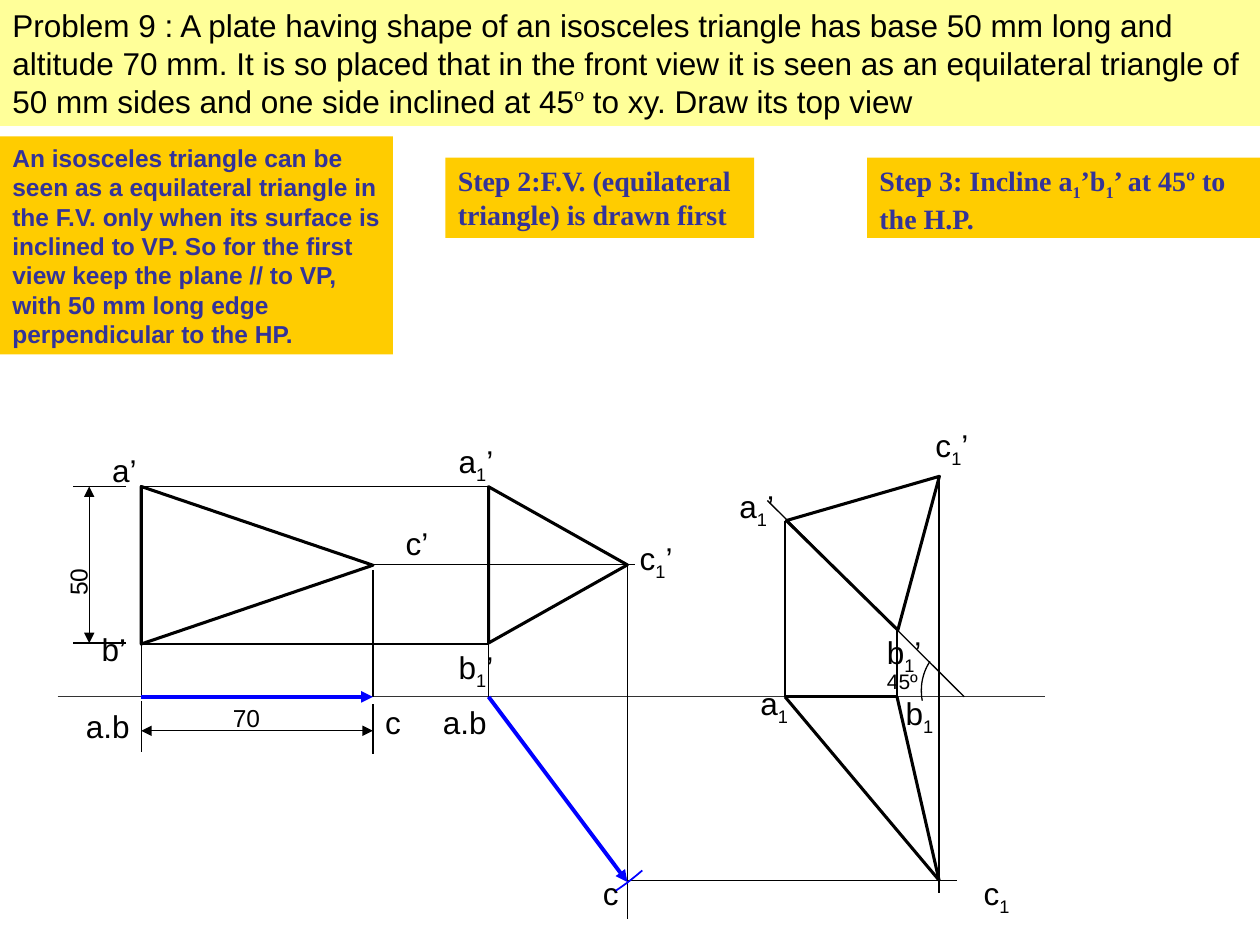
from dataclasses import dataclass
from math import cos, radians, sin

from lxml.etree import SubElement
from pptx import Presentation
from pptx.dml.color import RGBColor
from pptx.enum.shapes import MSO_CONNECTOR as Link, MSO_SHAPE as Preset
from pptx.enum.text import MSO_ANCHOR as Anchor, PP_ALIGN as Align
from pptx.oxml.ns import qn
from pptx.slide import Slide
from pptx.util import Pt

BLACK = RGBColor(0x00, 0x00, 0x00)
GREY = RGBColor(0x33, 0x33, 0x33)
BLUE = RGBColor(0x00, 0x00, 0xFF)
NAVY = RGBColor(0x33, 0x33, 0x99)
YELLOW = RGBColor(0xFF, 0xFF, 0x99)
GOLD = RGBColor(0xFF, 0xCC, 0x00)


@dataclass
class Drawing:
    """Draws lines, views, labels and notes; an underscore in text lowers the next character."""

    slide: Slide
    sans: str = "Arial"
    serif: str = "Times New Roman"
    thin: float = 0.75
    thick: float = 1.75

    def line(self, x1, y1, x2, y2, width=None, color=BLACK, arrows=()):
        link = self.slide.shapes.add_connector(
            Link.STRAIGHT, Pt(x1), Pt(y1), Pt(x2), Pt(y2))
        link.line.color.rgb = color
        link.line.width = Pt(width or self.thin)
        properties = link._element.spPr
        for end in arrows:
            SubElement(properties.find(qn("a:ln")), qn(f"a:{end}"), type="triangle")
        SubElement(properties, qn("a:effectLst"))

    def outline(self, shape, width, color=BLACK):
        shape.shadow.inherit = False
        shape.fill.background()
        shape.line.color.rgb = color
        shape.line.width = Pt(width)

    def triangle(self, center_x, center_y, base, height, rotation):
        view = self.slide.shapes.add_shape(
            Preset.ISOSCELES_TRIANGLE, Pt(center_x - base / 2),
            Pt(center_y - height / 2), Pt(base), Pt(height))
        view.rotation = rotation
        self.outline(view, self.thick)

    def arc(self, center_x, center_y, radius, start, end, width, color=BLACK, steps=12):
        angles = [radians(start + (end - start) * i / steps) for i in range(steps + 1)]
        first, *rest = [(Pt(center_x + radius * cos(a)), Pt(center_y + radius * sin(a)))
                        for a in angles]
        builder = self.slide.shapes.build_freeform(*first)
        builder.add_line_segments(rest, close=False)
        self.outline(builder.convert_to_shape(), width, color)

    def letter(self, frame, text, size, color=BLACK, font=None, bold=False):
        paragraph = frame.paragraphs[0]
        paragraph.alignment = Align.LEFT
        paragraph.font.size = Pt(size)
        paragraph.font.bold = bold
        paragraph.font.color.rgb = color
        paragraph.font.name = font or self.sans
        head, *lowered = text.split("_")
        paragraph.add_run().text = head
        for part in lowered:
            subscript = paragraph.add_run()
            subscript.text = part[0]
            subscript._r.get_or_add_rPr().set("baseline", "-25000")
            if part[1:]:
                paragraph.add_run().text = part[1:]
        return paragraph

    def label(self, x, y, text, size=18, width=42, height=29, rotation=0, wrap=True):
        box = self.slide.shapes.add_textbox(Pt(x), Pt(y), Pt(width), Pt(height))
        box.rotation = rotation
        box.text_frame.word_wrap = wrap
        self.letter(box.text_frame, text, size)

    def note(self, x, y, width, height, fill, text, size, **style):
        box = self.slide.shapes.add_shape(
            Preset.RECTANGLE, Pt(x), Pt(y), Pt(width), Pt(height))
        box.shadow.inherit = False
        box.fill.solid()
        box.fill.fore_color.rgb = fill
        box.line.fill.background()
        box.text_frame.word_wrap = True
        box.text_frame.vertical_anchor = Anchor.TOP
        return self.letter(box.text_frame, text, size, **style)


def main():
    deck = Presentation()
    deck.slide_width, deck.slide_height = Pt(720), Pt(540)
    draw = Drawing(deck.slides.add_slide(deck.slide_layouts[6]))

    edge, apex = 80.7, 213.1
    edge_2, apex_2 = 279.2, 358.5
    a_3, b_3, c_3 = 448.6, 512.6, 536.6
    top, middle, bottom, xy, c_top = 278, 322.6, 368, 398.2, 503

    draw.line(33, xy, 597, xy, color=GREY)
    draw.triangle((edge + apex) / 2, 323, 90, apex - edge, 90)
    draw.triangle((edge_2 + apex_2) / 2, 322.8, 89.3, apex_2 - edge_2, 90)
    draw.triangle(509, 300.5, 89.3, 79.3, 44.5)

    for x1, y1, x2, y2 in [
        (edge, bottom, edge, xy), (apex, 326, apex, xy),
        (edge, top, edge_2, top), (edge, bottom, edge_2, bottom),
        (apex, middle, 363, middle), (edge_2, bottom, edge_2, xy),
        (apex_2, middle, apex_2, 525), (72, top, 42, top), (72, 367.5, 42, 367.5),
        (edge, 400.5, edge, 430), (apex, 402.5, apex, 431),
        (551, xy, 438.5, 286), (a_3, 297.5, a_3, xy), (b_3, 360, b_3, xy),
        (c_3, 272, c_3, 510.5), (357, c_top, 547, c_top),
    ]:
        draw.line(x1, y1, x2, y2)

    both_ends = ("headEnd", "tailEnd")
    draw.line(51, top, 51, 367.5, arrows=both_ends)
    draw.line(edge, 417.6, apex, 417.6, arrows=both_ends)
    draw.arc(557.1, 394.6, 30.6, 169, 213, draw.thin)

    top_view = [(a_3, xy), (c_3, c_top), (b_3, xy)]
    for start, end in zip(top_view, top_view[1:] + top_view[:1]):
        draw.line(*start, *end, width=draw.thick)

    for x, y, text in [
        (57, 254, "a’"), (51, 356.5, "b’"), (224.7, 296, "c’"),
        (42, 400.5, "a.b"), (213, 398, "c"), (246, 398, "a.b"), (337.5, 496, "c"),
        (255, 249, "a_1’"), (255, 367, "b_1’"), (358.5, 304.5, "c_1’"),
        (415.5, 275, "a_1’"), (499.7, 358, "b_1’"), (527.5, 240, "c_1’"),
        (427.5, 387.5, "a_1"), (510.5, 393, "b_1"), (555, 496, "c_1"),
    ]:
        draw.label(x, y, text)
    draw.label(23, 314, "50", 14, width=43, height=24, rotation=270)
    draw.label(126, 398, "70", 14, height=24)
    draw.label(499.7, 378.7, "45º", 12, width=32.5, height=21.5, wrap=False)

    problem = draw.note(
        0, 0, 720, 72, YELLOW,
        "Problem 9 : A plate having shape of an isosceles triangle has base 50 mm long "
        "and altitude 70 mm. It is so placed that in the front view it is seen as an "
        "equilateral triangle of 50 mm sides and one side inclined at 45", 18)
    degree = problem.add_run()
    degree.text = "º"
    degree.font.name = draw.serif
    problem.add_run().text = " to xy. Draw its top view"

    draw.note(
        0, 78, 224.5, 124.5, GOLD,
        "An isosceles triangle can be seen as a equilateral triangle in the F.V. only "
        "when its surface is inclined to VP. So for the first view keep the plane // to "
        "VP, with 50 mm long edge perpendicular to the HP.", 14, color=NAVY, bold=True)
    for x, width, text in [
        (254.5, 176.5, "Step 2:F.V. (equilateral triangle) is drawn first"),
        (495.5, 224.5, "Step 3: Incline a_1’b_1’ at 45º to the H.P."),
    ]:
        draw.note(x, 90, width, 46, GOLD, text, 16,
                  color=NAVY, font=draw.serif, bold=True)

    for start, end in [((edge, xy), (apex, xy)), ((edge_2, xy), (apex_2, 504))]:
        draw.line(*start, *end, width=2.25, color=BLUE, arrows=("tailEnd",))
    draw.arc(edge_2, xy, 132.5, 56.7, 48.5, 1, BLUE)

    deck.save("out.pptx")


if __name__ == "__main__":
    main()
